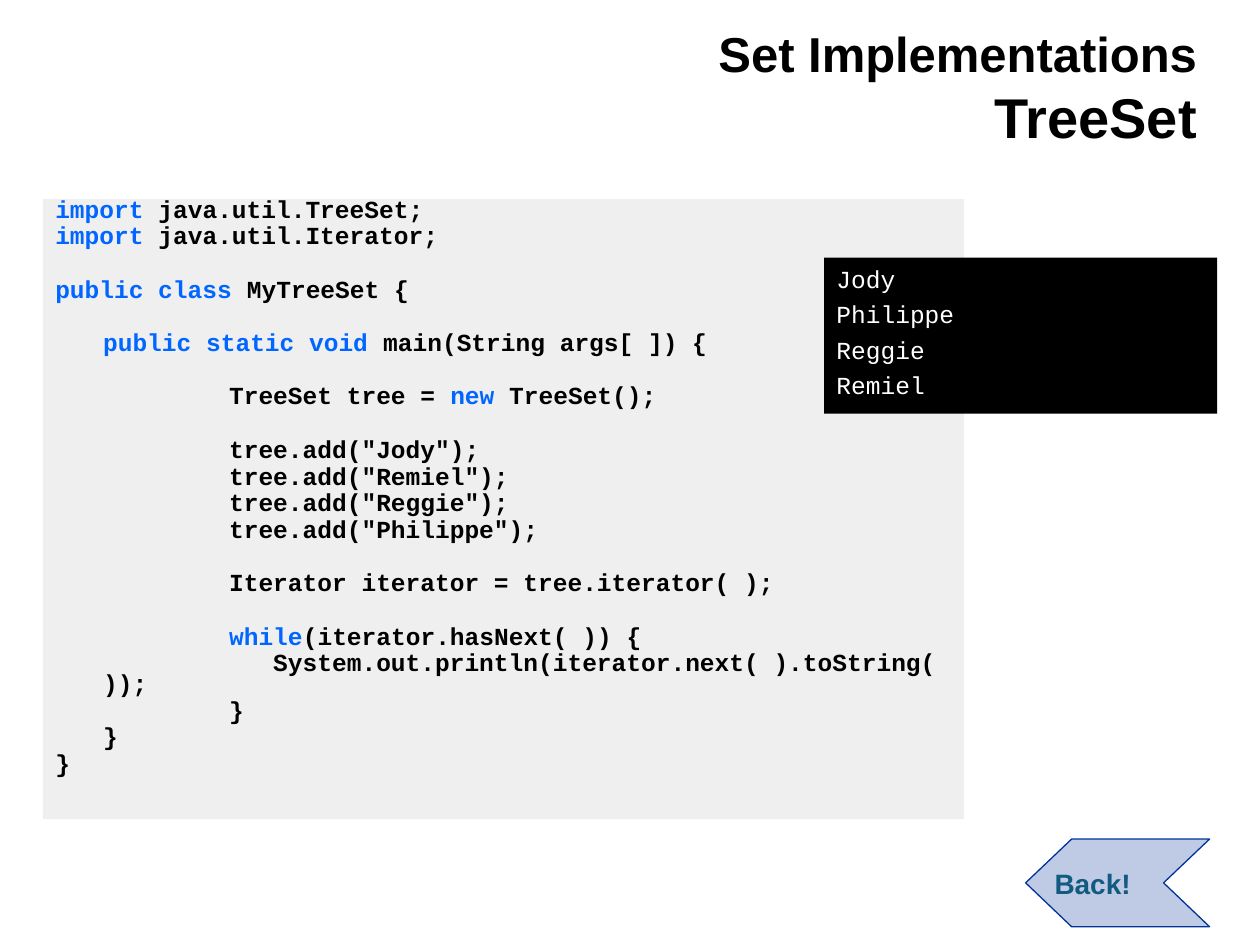
from dataclasses import dataclass

from lxml import etree
from pptx import Presentation
from pptx.dml.color import RGBColor
from pptx.enum.shapes import MSO_SHAPE
from pptx.enum.text import MSO_ANCHOR, MSO_AUTO_SIZE, PP_ALIGN
from pptx.oxml.ns import qn
from pptx.util import Inches, Pt

RECTANGLE = MSO_SHAPE.RECTANGLE
TOP, MIDDLE, BOTTOM = MSO_ANCHOR.TOP, MSO_ANCHOR.MIDDLE, MSO_ANCHOR.BOTTOM
LEFT, RIGHT = PP_ALIGN.LEFT, PP_ALIGN.RIGHT
NO_AUTOFIT = MSO_AUTO_SIZE.NONE
TITLE_ONLY = 5
WIDTH, HEIGHT = Inches(10), Inches(7.5)


@dataclass(frozen=True)
class Theme:
    heading_font: str = "Arial"
    code_font: str = "Courier New"
    ink: str = "000000"
    paper: str = "FFFFFF"
    keyword: str = "0066FF"
    code_fill: str = "C0C0C0"
    button: str = "003399"
    button_text: str = "135A81"
    tint: int = 25
    topic_size: int = 28
    class_size: int = 32
    code_size: int = 14
    button_size: int = 16
    line_gap: float = 3.5
    code_leading: float = 0.7
    blank_line: float = 15.25


@dataclass(frozen=True)
class Area:
    """A box in percent of the slide's width and height."""
    x: float
    y: float
    w: float
    h: float

    def box(self) -> tuple:
        return (round(WIDTH * self.x / 100), round(HEIGHT * self.y / 100),
                round(WIDTH * self.w / 100), round(HEIGHT * self.h / 100))


@dataclass(frozen=True)
class CodeLine:
    depth: int
    before: str = ""
    keyword: str = ""
    after: str = ""
    blank_above: bool = False


THEME = Theme()
HEADING = Area(7, 0.53, 89, 16)
LISTING = Area(3.4, 21.07, 73.1, 65.6)
CONSOLE = Area(65.4, 27.27, 31.2, 16.5)
BACK = Area(81.4, 88.8, 14.6, 9.27)

# First-line indent in inches for each depth of code, from a shared margin
MARGIN = 0.38
DEPTH_INDENTS = (-0.38, 0, 1)

CODE = [
    CodeLine(0, keyword="import", after=" java.util.TreeSet;"),
    CodeLine(0, keyword="import", after=" java.util.Iterator;"),
    CodeLine(0, keyword="public class", after=" MyTreeSet {", blank_above=True),
    CodeLine(1, keyword="public static void", after=" main(String args[ ]) {",
             blank_above=True),
    CodeLine(2, "TreeSet tree = ", "new", " TreeSet();", True),
    CodeLine(2, 'tree.add("Jody");', blank_above=True),
    CodeLine(2, 'tree.add("Remiel");'),
    CodeLine(2, 'tree.add("Reggie");'),
    CodeLine(2, 'tree.add("Philippe");'),
    CodeLine(2, "Iterator iterator = tree.iterator( );", blank_above=True),
    CodeLine(2, keyword="while", after="(iterator.hasNext( )) {", blank_above=True),
    CodeLine(2, "   System.out.println(iterator.next( ).toString( ));"),
    CodeLine(2, "}"),
    CodeLine(1, "}"),
    CodeLine(0, "}"),
]
OUTPUT = ["Jody", "Philippe", "Reggie", "Remiel"]


def apply(target, values: dict) -> None:
    for name, value in values.items():
        setattr(target, name, value)


def format_frame(frame, anchor, side: float = 0.1, edge: float = 0.05) -> None:
    apply(frame, {
        "word_wrap": True, "auto_size": NO_AUTOFIT, "vertical_anchor": anchor,
        "margin_left": Inches(side), "margin_right": Inches(0.1),
        "margin_top": Inches(edge), "margin_bottom": Inches(edge),
    })


def add_run(paragraph, text: str, font: str, size: float, color: str,
            bold: bool = True) -> None:
    run = paragraph.add_run()
    run.text = text
    apply(run.font, {"name": font, "size": Pt(size), "bold": bold})
    run.font.color.rgb = RGBColor.from_string(color)


def fill_shape(shape, color: str, opacity: int = 100) -> None:
    shape.shadow.inherit = False
    shape.fill.solid()
    shape.fill.fore_color.rgb = RGBColor.from_string(color)
    if opacity < 100:
        swatch = shape.fill._xPr.find(qn("a:solidFill"))[0]
        etree.SubElement(swatch, qn("a:alpha")).set("val", str(opacity * 1000))


def add_panel(slide, area: Area, color: str, opacity: int = 100, edge: float = 0.05):
    panel = slide.shapes.add_shape(RECTANGLE, *area.box())
    fill_shape(panel, color, opacity)
    panel.line.fill.background()
    format_frame(panel.text_frame, TOP, edge=edge)
    return panel.text_frame


def next_paragraph(frame, first: bool, space_before: float, leading: float = 1.0,
                   depth: int = 0):
    paragraph = frame.paragraphs[0] if first else frame.add_paragraph()
    apply(paragraph, {"alignment": LEFT, "space_before": Pt(space_before),
                      "line_spacing": leading})
    properties = paragraph._p.get_or_add_pPr()
    properties.set("marL", str(Inches(MARGIN)))
    properties.set("indent", str(Inches(DEPTH_INDENTS[depth])))
    return paragraph


def add_heading(slide) -> None:
    title = slide.shapes.title
    apply(title, dict(zip(("left", "top", "width", "height"), HEADING.box())))
    format_frame(title.text_frame, BOTTOM)
    paragraph = title.text_frame.paragraphs[0]
    paragraph.alignment = RIGHT
    add_run(paragraph, "Set Implementations", THEME.heading_font, THEME.topic_size, THEME.ink)
    paragraph.add_line_break()
    add_run(paragraph, "TreeSet", THEME.heading_font, THEME.class_size, THEME.ink)


def add_listing(slide) -> None:
    frame = add_panel(slide, LISTING, THEME.code_fill, THEME.tint, edge=0.02)
    for number, line in enumerate(CODE):
        gap = THEME.line_gap + THEME.blank_line * line.blank_above
        paragraph = next_paragraph(frame, number == 0, gap, THEME.code_leading, line.depth)
        parts = ((line.before, THEME.ink), (line.keyword, THEME.keyword),
                 (line.after, THEME.ink))
        for text, color in parts:
            if text:
                add_run(paragraph, text, THEME.code_font, THEME.code_size, color)


def add_console(slide) -> None:
    frame = add_panel(slide, CONSOLE, THEME.ink)
    for number, name in enumerate(OUTPUT):
        paragraph = next_paragraph(frame, number == 0, THEME.line_gap)
        add_run(paragraph, name, THEME.code_font, THEME.code_size, THEME.paper, bold=False)


def add_back_button(slide) -> None:
    left, top, width, height = BACK.box()
    notch = width // 4
    right, middle, bottom = left + width, top + height // 2, top + height
    outline = slide.shapes.build_freeform(right, bottom)
    outline.add_line_segments([
        (left + notch, bottom), (left, middle), (left + notch, top),
        (right, top), (right - notch, middle),
    ], close=True)
    button = outline.convert_to_shape()
    fill_shape(button, THEME.button, THEME.tint)
    button.line.color.rgb = RGBColor.from_string(THEME.button)
    button.line.width = Pt(0.75)
    format_frame(button.text_frame, MIDDLE, side=0.23)
    label = button.text_frame.paragraphs[0]
    label.alignment = LEFT
    add_run(label, "Back!", THEME.heading_font, THEME.button_size, THEME.button_text)


def main() -> None:
    deck = Presentation()
    apply(deck, {"slide_width": WIDTH, "slide_height": HEIGHT})
    slide = deck.slides.add_slide(deck.slide_layouts[TITLE_ONLY])
    for draw in (add_heading, add_listing, add_back_button, add_console):
        draw(slide)
    deck.save("out.pptx")


if __name__ == "__main__":
    main()
